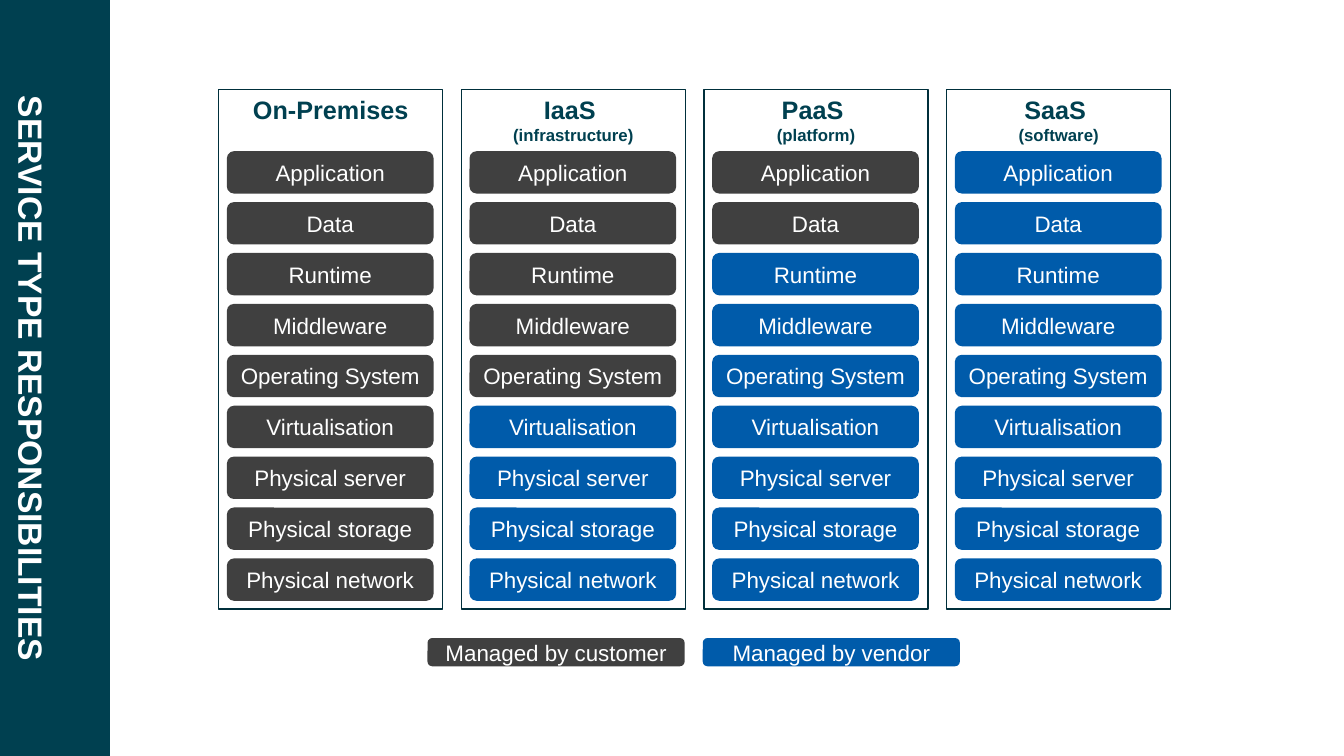
from dataclasses import dataclass
from pptx import Presentation
from pptx.dml.color import RGBColor as RGB
from pptx.enum.shapes import MSO_SHAPE as Kind
from pptx.enum.text import MSO_ANCHOR as Anchor, MSO_AUTO_SIZE as Fit, PP_ALIGN as Align
from pptx.util import Inches, Pt


@dataclass(frozen=True)
class Theme:
    font: str = "Arial"
    teal: str = "004050"
    edge: str = "002F3B"
    user: str = "404040"
    vendor: str = "005BAA"
    white: str = "FFFFFF"
    title: int = 24
    head: int = 18
    label: int = 16
    note: int = 12


THEME = Theme()
LAYERS = ["Application", "Data", "Runtime", "Middleware", "Operating System",
          "Virtualisation", "Physical server", "Physical storage", "Physical network"]
# Name, note and number of layers managed by the customer
MODELS = [("On-Premises", "", 9), ("IaaS", "(infrastructure)", 5),
          ("PaaS", "(platform)", 2), ("SaaS", "(software)", 0)]


def style(run, size, color, bold=False):
    font = run.font
    font.name, font.size, font.bold = THEME.font, Pt(size), bold
    font.color.rgb = RGB.from_string(color)


def add_box(shapes, kind, box, fill, edge=None):
    shape = shapes.add_shape(kind, *map(Inches, box))
    shape.shadow.inherit = False
    shape.fill.solid()
    shape.fill.fore_color.rgb = RGB.from_string(fill)
    if edge:
        shape.line.color.rgb = RGB.from_string(edge)
        shape.line.width = Pt(1)
    else:
        shape.line.fill.background()
    return shape


def add_pill(shapes, box, text, fill):
    frame = add_box(shapes, Kind.ROUNDED_RECTANGLE, box, fill).text_frame
    frame.text = text
    frame.word_wrap = True
    frame.vertical_anchor = Anchor.MIDDLE
    para = frame.paragraphs[0]
    para.alignment = Align.CENTER
    style(para.runs[0], THEME.label, THEME.white)


def add_band(slide, box):
    # Side band, behind the title
    left, top, width, height = box
    band = add_box(slide.shapes, Kind.RECTANGLE, box, THEME.teal)
    title = slide.shapes.title
    title._element.addprevious(band._element)

    # Title turned a quarter about its centre to read downwards
    long, deep = height - 0.91, width - 0.24
    mid_x, mid_y = left + 0.11 + deep / 2, top + 0.46 + long / 2
    title.left, title.top = Inches(mid_x - long / 2), Inches(mid_y - deep / 2)
    title.width, title.height = Inches(long), Inches(deep)
    title.rotation = 90
    frame = title.text_frame
    frame.text = "SERVICE TYPE RESPONSIBILITIES"
    frame.margin_left = frame.margin_right = frame.margin_top = frame.margin_bottom = 0
    frame.word_wrap = True
    frame.auto_size = Fit.NONE
    frame.vertical_anchor = Anchor.BOTTOM
    para = frame.paragraphs[0]
    para.alignment = Align.CENTER
    para.line_spacing = 0.9
    style(para.runs[0], THEME.title, THEME.white, True)


def add_model(slide, box, name, note, owned):
    left, top, width, height = box
    shapes = slide.shapes.add_group_shape().shapes

    # Frame with heading
    frame = add_box(shapes, Kind.RECTANGLE, box, THEME.white, THEME.edge).text_frame
    frame.text = f"{name} \v{note}" if note else name
    frame.word_wrap = True
    frame.vertical_anchor = Anchor.TOP
    para = frame.paragraphs[0]
    para.alignment = Align.CENTER
    for run, size in zip(para.runs, (THEME.head, THEME.note)):
        style(run, size, THEME.teal, True)

    # Stack of layers
    pad, first, tall = 0.08, 0.61, 0.42
    step = (height - first - pad - tall) / (len(LAYERS) - 1)
    for row, layer in enumerate(LAYERS):
        fill = THEME.user if row < owned else THEME.vendor
        spot = (left + pad, top + first + row * step, width - 0.17, tall)
        add_pill(shapes, spot, layer, fill)


def add_models(slide, box):
    left, top, width, height = box
    wide = 2.22
    step = (width - wide) / (len(MODELS) - 1)
    for col, model in enumerate(MODELS):
        add_model(slide, (left + col * step, top, wide, height), *model)


def add_legend(slide, box):
    left, top, width, height = box
    shapes = slide.shapes.add_group_shape().shapes
    wide = 2.55
    add_pill(shapes, (left, top, wide, height), "Managed by customer", THEME.user)
    add_pill(shapes, (left + width - wide, top, wide, height),
             "Managed by vendor", THEME.vendor)


def main():
    deck = Presentation()
    deck.slide_width, deck.slide_height = Inches(13.33), Inches(7.5)
    slide = deck.slides.add_slide(deck.slide_layouts[5])
    add_band(slide, (0, 0, 1.09, 7.5))
    add_models(slide, (2.17, 0.89, 9.44, 5.15))
    add_legend(slide, (4.24, 6.33, 5.28, 0.28))
    deck.save("out.pptx")


if __name__ == "__main__":
    main()
